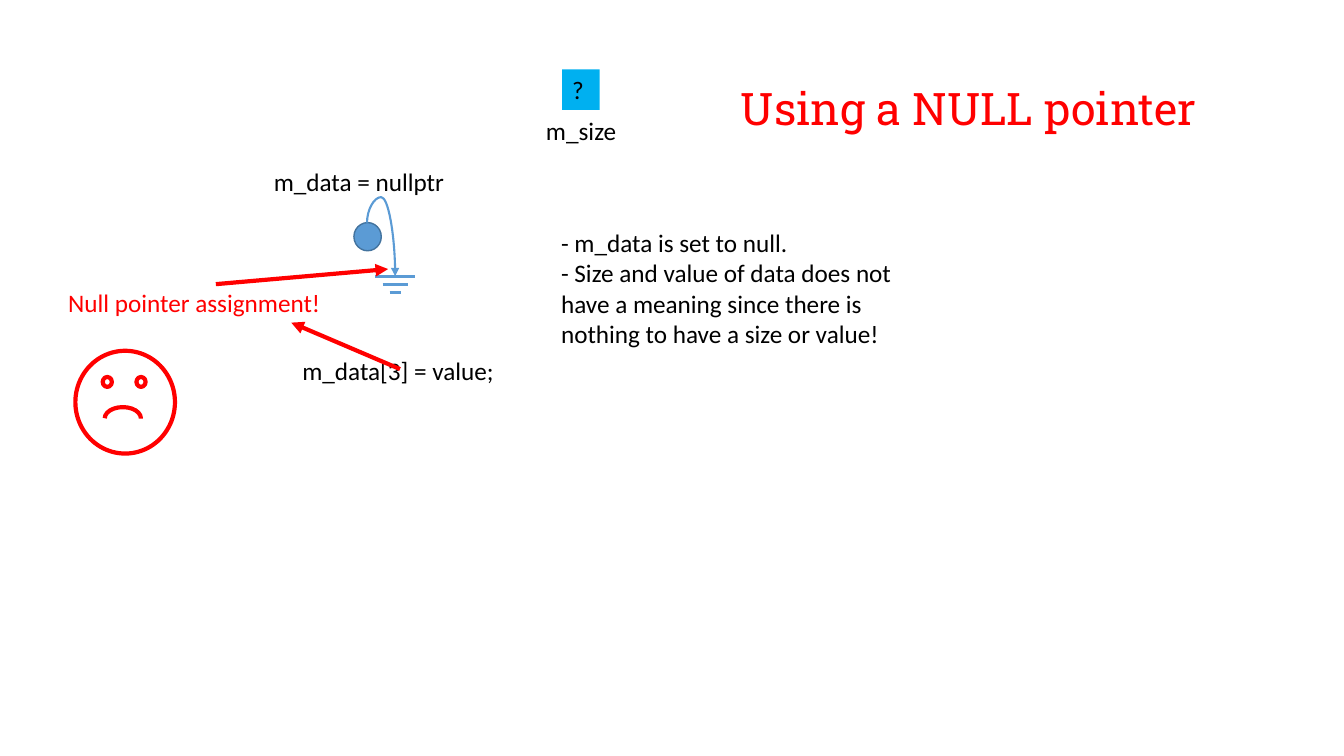
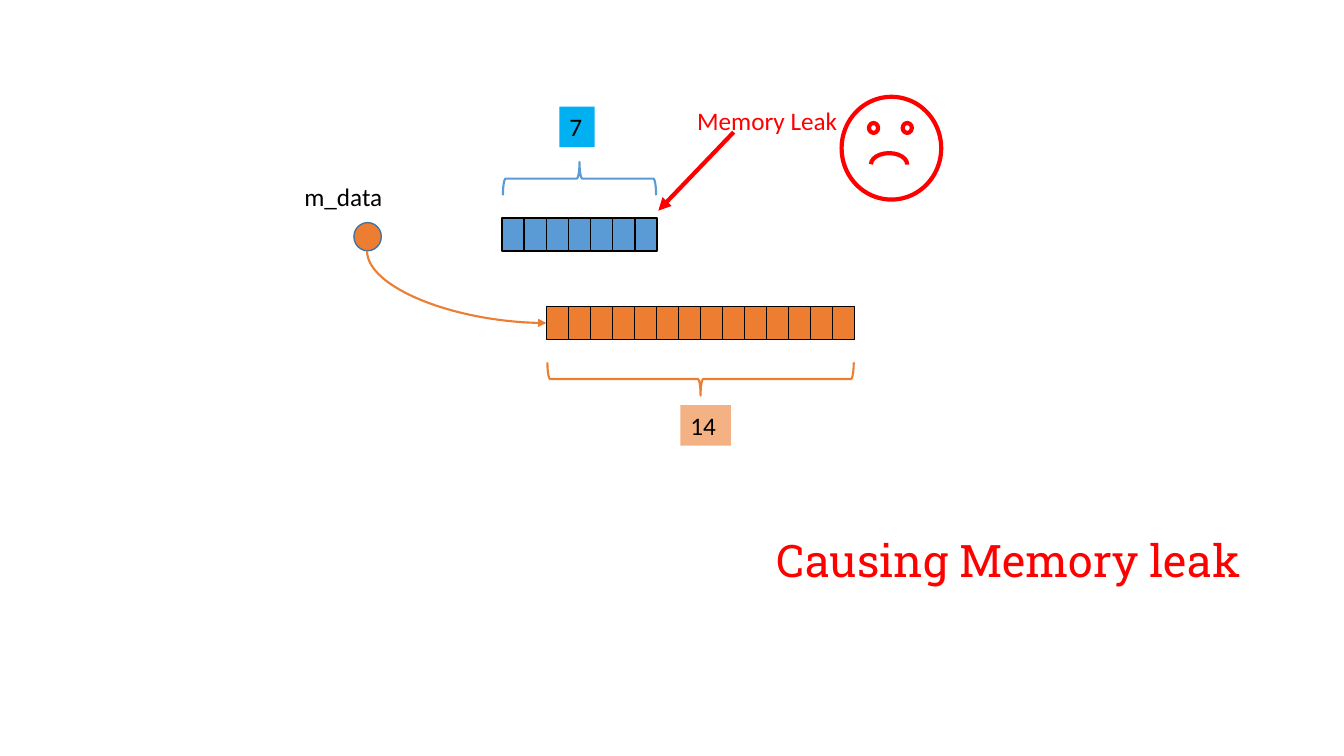
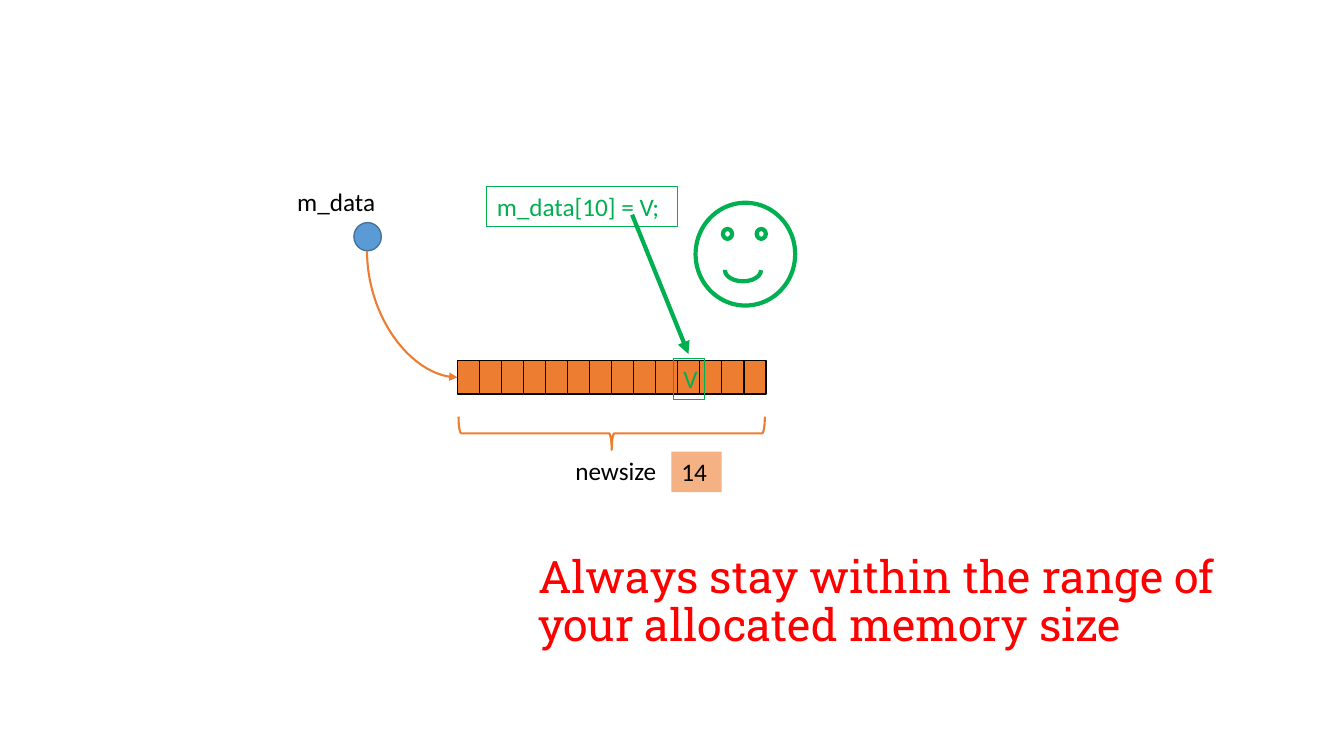
from pptx import Presentation
from pptx.dml.color import RGBColor
from pptx.enum.shapes import MSO_CONNECTOR as Link, MSO_SHAPE as Preset
from pptx.enum.text import MSO_ANCHOR as Anchor, PP_ALIGN as Align
from pptx.oxml.ns import qn
from pptx.util import Cm, Pt
from lxml.etree import SubElement

BLACK, WHITE, RED, GREEN = "000000", "FFFFFF", "FF0000", "00B050"
BLUE, DARK_BLUE, CYAN = "5B9BD5", "43739E", "00B0F0"
ORANGE, PEACH = "ED7D31", "F4B183"

# Lengths are in centimetres.
DOT = (8.92, 5.61, 0.69, 0.71)
DOT_MIDDLE = 9.25
DOT_BOTTOM = 6.32
CELL_HEIGHT = 0.84
BRACE_GAP = 0.57
LABEL_HEIGHT = 1.02
FACE = (2.51, 2.59)
EYES = [(0.69, 0.66), (1.54, 0.66)]
EYE = (0.23, 0.25)
MOUTH = (0.74, 1.42, 0.91, 0.56)
GROUND = (9.96, 6.96)
GROUND_STEP = 0.21
GROUND_HALVES = [0.5, 0.32, 0.14]

# title: text, box
# labels: text, left, top, width, then fill, line and text colours that differ
# rows: left, top, width, cells, colour, whether the brace is above
# arrows: start, end, colour
# face: left, top, colour, whether it smiles
PAGES = [
    {
        "title": ("Using a NULL pointer", (18.42, 1.98, 12.75, 1.63)),
        "dot": BLUE,
        "labels": [
            ("m_size", 13.51, 2.79, 3.02, {}),
            ("m_data = nullptr", 6.65, 4.06, 5.54, {}),
            ("?", 14.17, 1.75, 0.94, {"fill": CYAN}),
            ("- m_data is set to null.\n"
             "- Size and value of data does not have a meaning since there is "
             "nothing to have a size or value!",
             13.89, 5.61, 9.86, {"height": 3.33}),
            ("m_data[3] = value;", 7.37, 8.84, 5.72, {}),
            ("Null pointer assignment!", 1.47, 7.11, 6.98,
             {"line": WHITE, "color": RED}),
        ],
        "rows": [],
        "arrows": [((10.08, 9.3), (7.34, 8.13), RED),
                   ((5.44, 7.16), (9.78, 6.78), RED)],
        "face": (1.9, 8.84, RED, False),
    },
    {
        "title": ("Causing Memory leak", (19.33, 13.36, 13.28, 1.63)),
        "dot": ORANGE,
        "labels": [
            ("m_data", 7.42, 4.45, 2.59, {}),
            ("7", 14.1, 2.69, 0.89, {"fill": CYAN}),
            ("14", 17.15, 10.21, 1.27, {"fill": PEACH}),
            ("Memory Leak", 17.32, 2.54, 4.09, {"color": RED}),
        ],
        "rows": [(12.65, 5.49, 3.91, 7, BLUE, True),
                 (13.77, 7.72, 7.77, 14, ORANGE, False)],
        "arrows": [((18.49, 3.33), (16.59, 5.31), RED)],
        "face": (21.21, 2.44, RED, False),
    },
    {
        "title": ("Always stay within the range of your allocated memory size",
                  (13.31, 13.69, 19.2, 3)),
        "dot": BLUE,
        "labels": [
            ("newsize", 14.25, 11.35, 3.35, {}),
            ("14", 16.92, 11.38, 1.27, {"fill": PEACH}),
            ("m_data", 7.24, 4.57, 3.1, {}),
            ("V", 16.97, 9.04, 0.79, {"line": GREEN, "color": GREEN}),
            ("m_data[10] = V;", 12.27, 4.7, 4.8,
             {"line": GREEN, "color": GREEN}),
        ],
        "rows": [(11.53, 9.09, 7.77, 14, ORANGE, False)],
        "arrows": [((15.93, 5.41), (17.35, 8.92), GREEN)],
        "face": (17.53, 5.11, GREEN, True),
    },
]


def rgb(color):
    """Turn a hex string into a colour."""
    return RGBColor.from_string(color)


def set_all(target, values):
    """Set each named attribute of the target."""
    for name, value in values.items():
        setattr(target, name, value)


def paint(shape, fill=None, line=None, width=1):
    """Give a shape its fill and outline; None leaves that part empty."""
    if fill:
        shape.fill.solid()
        shape.fill.fore_color.rgb = rgb(fill)
    else:
        shape.fill.background()
    if line:
        shape.line.color.rgb = rgb(line)
        shape.line.width = Pt(width)
    else:
        shape.line.fill.background()


def add_preset(page, preset, box, **colors):
    """Draw one preset shape without a shadow."""
    shape = page.shapes.add_shape(preset, *map(Cm, box))
    shape.shadow.inherit = False
    paint(shape, **colors)
    return shape


def add_text(page, text, box, color=BLACK, font="Calibri", size=18,
             spacing=1.0, anchor=Anchor.TOP, fill=None, line=None):
    """Write a left-aligned text box, one paragraph a line."""
    shape = page.shapes.add_textbox(*map(Cm, box))
    paint(shape, fill, line, 0.75)
    frame = shape.text_frame
    set_all(frame, {"word_wrap": True, "vertical_anchor": anchor, "text": text})
    for para in frame.paragraphs:
        set_all(para, {"alignment": Align.LEFT, "line_spacing": spacing})
        set_all(para.font, {"name": font, "size": Pt(size)})
        para.font.color.rgb = rgb(color)


def add_link(page, start, end, color, width, kind=Link.STRAIGHT, head=True):
    """Draw a connector, with an arrowhead at its end if wanted."""
    link = page.shapes.add_connector(kind, *map(Cm, (*start, *end)))
    link.line.color.rgb = rgb(color)
    link.line.width = Pt(width)
    properties = link._element.spPr
    if head:
        SubElement(properties.find(qn("a:ln")), qn("a:tailEnd"), type="triangle")
    SubElement(properties, qn("a:effectLst"))
    return link


def add_curve(page, start, end, color, bend=None):
    """Draw a curved arrow that leaves its start vertically."""
    middle_x, middle_y = (start[0] + end[0]) / 2, (start[1] + end[1]) / 2
    half_x, half_y = (end[0] - start[0]) / 2, (end[1] - start[1]) / 2
    link = add_link(page, (middle_x - half_y, middle_y - half_x),
                    (middle_x + half_y, middle_y + half_x),
                    color, 1.5, Link.CURVE)
    properties = link._element.spPr
    frame = properties.find(qn("a:xfrm"))
    frame.set("rot", str(270 * 60000))
    frame.set("flipH", "1")
    geometry = properties.find(qn("a:prstGeom"))
    if bend is None:
        geometry.set("prst", "curvedConnector2")
    else:
        SubElement(geometry.find(qn("a:avLst")), qn("a:gd"),
                   name="adj1", fmla=f"val {bend}")


def add_row(page, left, top, width, count, color, above):
    """Draw a row of memory cells and the brace that spans it."""
    cell = width / count
    for index in range(count):
        add_preset(page, Preset.RECTANGLE,
                   (left + index * cell, top, cell, CELL_HEIGHT),
                   fill=color, line=BLACK)
    depth, span = CELL_HEIGHT, width - 0.05
    shift = BRACE_GAP + CELL_HEIGHT
    middle_y = top + CELL_HEIGHT / 2 + (-shift if above else shift)
    brace = add_preset(page, Preset.RIGHT_BRACE,
                       (left + width / 2 - depth / 2, middle_y - span / 2,
                        depth, span), line=color, width=1.5)
    brace.rotation = 270 if above else 90


def add_face(page, left, top, color, smiles):
    """Draw a round face with a smile or a frown."""
    for x, y, width, height in [(0, 0, *FACE)] + [(*eye, *EYE) for eye in EYES]:
        add_preset(page, Preset.OVAL, (left + x, top + y, width, height),
                   fill=WHITE, line=color, width=3)
    x, y, width, height = MOUTH
    mouth = add_preset(page, Preset.ARC, (left + x, top + y, width, height),
                       line=color, width=3)
    mouth.adjustments[0], mouth.adjustments[1] = 107.21, 0
    mouth.rotation = 0 if smiles else 180
    mouth._element.spPr.find(qn("a:xfrm")).set("flipV", "1")


def add_ground(page):
    """Draw the null symbol and the curve from the dot to it."""
    x, y = GROUND
    add_curve(page, (DOT_MIDDLE, DOT[1]), GROUND, BLUE, bend=-47600)
    for index, half in enumerate(GROUND_HALVES):
        level = y + index * GROUND_STEP
        add_link(page, (x - half, level), (x + half, level), BLUE, 2.25,
                 head=False)


def build_page(deck, content):
    """Build one slide from its content."""
    page = deck.slides.add_slide(deck.slide_layouts[6])
    add_preset(page, Preset.OVAL, DOT, fill=content["dot"], line=DARK_BLUE)
    for row in content["rows"]:
        add_row(page, *row)
    if content["rows"]:
        left, top = content["rows"][-1][:2]
        add_curve(page, (DOT_MIDDLE, DOT_BOTTOM),
                  (left, top + CELL_HEIGHT / 2), ORANGE)
    else:
        add_ground(page)
    for text, left, top, width, style in content["labels"]:
        style = dict(style)
        height = style.pop("height", LABEL_HEIGHT)
        add_text(page, text, (left, top, width, height), **style)
    for start, end, color in content["arrows"]:
        add_link(page, start, end, color, 3)
    add_face(page, *content["face"])
    add_text(page, *content["title"], color=RED, font="Roboto Slab", size=32,
             spacing=0.9, anchor=Anchor.MIDDLE)


deck = Presentation()
set_all(deck, {"slide_width": Cm(33.87), "slide_height": Cm(19.05)})
for content in PAGES:
    build_page(deck, content)
deck.save("out.pptx")
